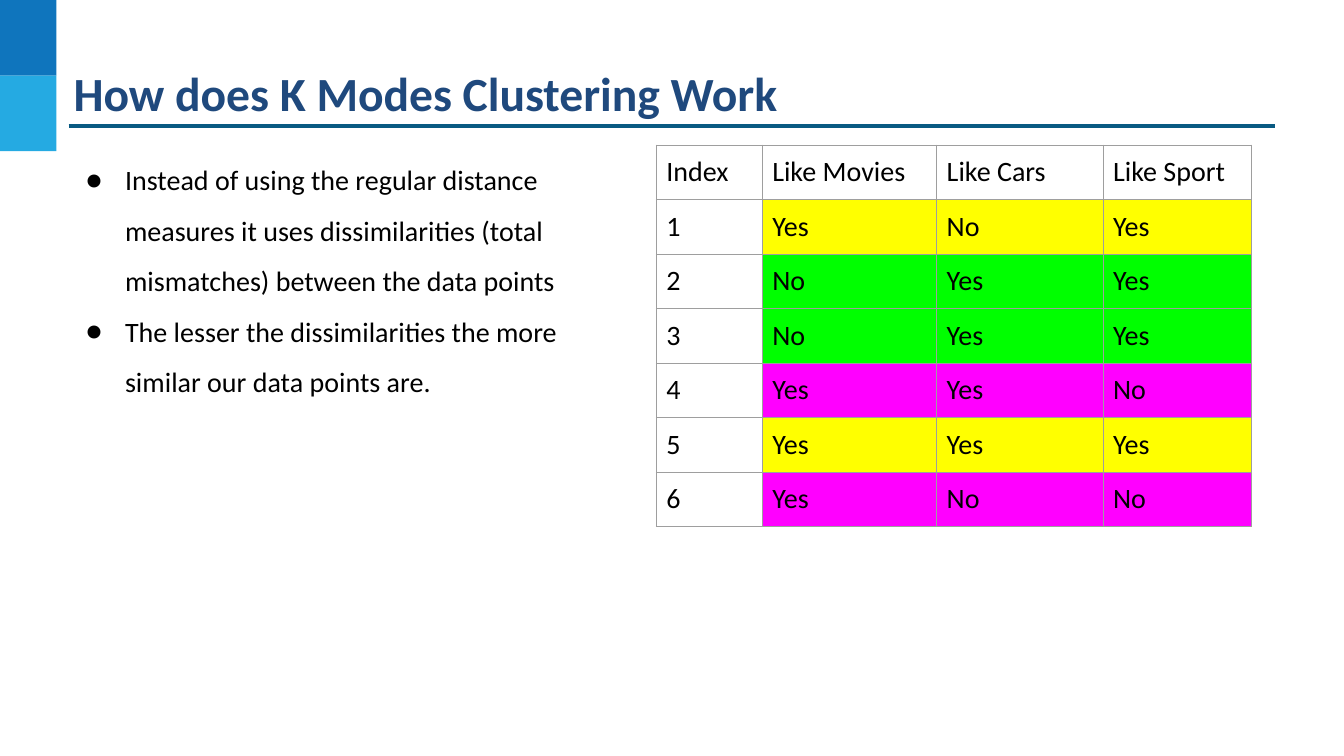
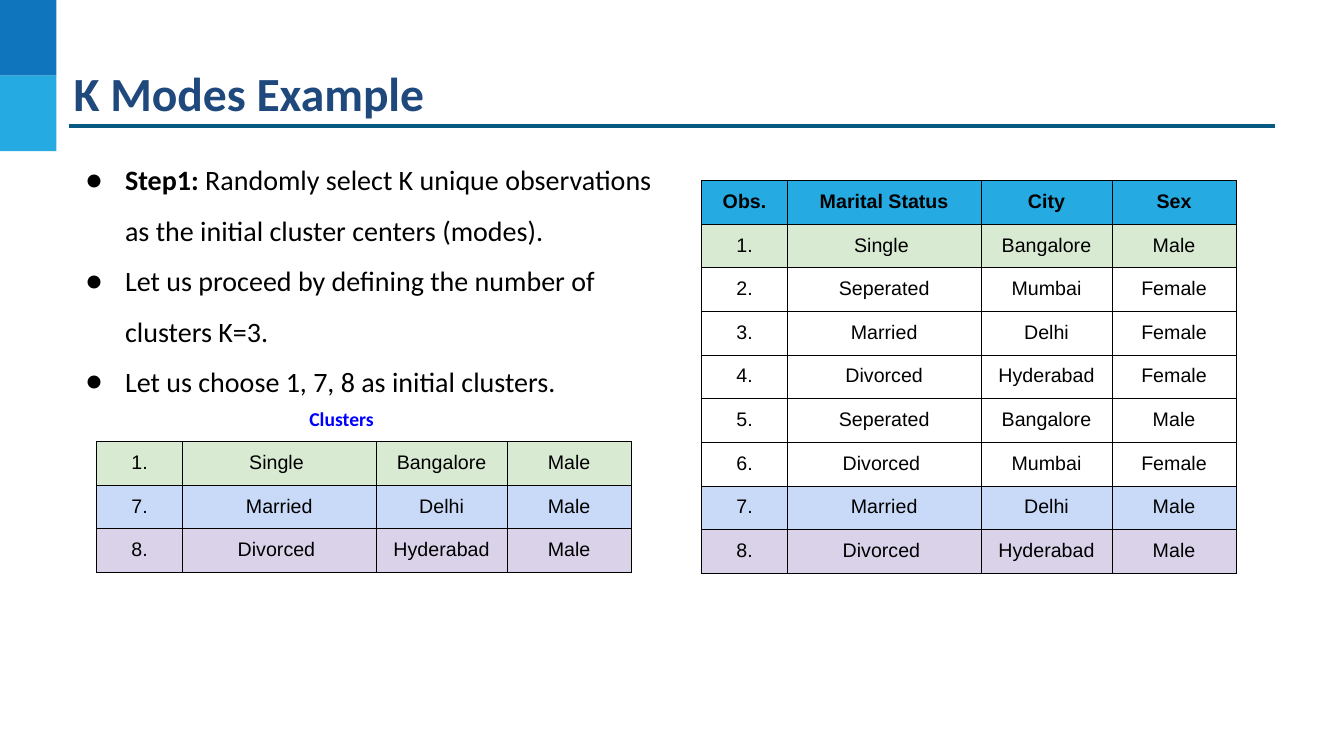
from dataclasses import dataclass

from lxml import etree
from pptx import Presentation
from pptx import util as u
from pptx.dml.color import RGBColor
from pptx.enum import shapes, text
from pptx.oxml import parse_xml
from pptx.oxml.ns import nsdecls, qn

EMU_PER_PX = 9144  # 100 px to the inch


@dataclass(frozen=True)
class Theme:
    heading_font: str = "Calibri"
    table_font: str = "Arial"
    title_size: int = 34
    body_size: int = 20
    small_size: int = 14
    title: str = "1F497D"
    ink: str = "000000"
    caption: str = "0000FF"
    band_dark: str = "0F75BD"
    band_light: str = "25AAE2"
    rule: str = "095A82"
    grid: str = "9E9E9E"
    yellow: str = "FFFF00"
    lime: str = "00FF00"
    magenta: str = "FF00FF"
    mint: str = "D9EAD3"
    sky: str = "C9DAF8"
    lilac: str = "D9D2E9"


THEME = Theme()


@dataclass(frozen=True)
class Bullet:
    body: str
    lead: str = ""


@dataclass(frozen=True)
class Row:
    cells: tuple[str, ...]
    fill: str | None = None
    bold: bool = False


@dataclass(frozen=True)
class Grid:
    left: int
    top: int
    height: int
    columns: tuple[int, ...]
    rows: tuple[Row, ...]
    font: str
    size: int
    border: str
    align: text.PP_ALIGN
    plain_first_column: bool = False


def px(length: int) -> u.Emu:
    return u.Emu(length * EMU_PER_PX)


def write(para, words: str, *, size: int, colour: str = THEME.ink,
          font: str = THEME.heading_font, bold: bool = False) -> None:
    span = para.add_run()
    span.text = words
    span.font.size = u.Pt(size)
    span.font.name = font
    span.font.bold = bold
    span.font.color.rgb = RGBColor.from_string(colour)


def place(box, left: int, top: int, width: int, height: int) -> None:
    box.left, box.top, box.width, box.height = map(px, (left, top, width, height))


def set_frame(frame, inset: int) -> None:
    """Give a text frame equal insets, wrapping and top alignment."""
    frame.margin_left = frame.margin_right = px(inset)
    frame.margin_top = frame.margin_bottom = px(inset)
    frame.word_wrap = True
    frame.auto_size = text.MSO_AUTO_SIZE.NONE
    frame.vertical_anchor = text.MSO_ANCHOR.TOP


def decorate_layout(layout, page) -> None:
    """Draw the corner bands and title rule, then move them to the layout."""
    decorations = []
    for index, colour in enumerate((THEME.band_dark, THEME.band_light)):
        band = page.shapes.add_shape(
            shapes.MSO_SHAPE.RECTANGLE, px(0), px(75 * index), px(56), px(75))
        band.shadow.inherit = False
        band.fill.solid()
        band.fill.fore_color.rgb = RGBColor.from_string(colour)
        band.line.fill.background()
        decorations.append(band)
    rule = page.shapes.add_connector(
        shapes.MSO_CONNECTOR.STRAIGHT, px(68), px(125), px(1265), px(125))
    rule.line.width = u.Pt(2.25)
    rule.line.color.rgb = RGBColor.from_string(THEME.rule)
    etree.SubElement(rule.element.spPr, qn("a:effectLst"))
    decorations.append(rule)
    for position, decoration in enumerate(decorations, start=2):
        layout.shapes.element.insert(position, decoration.element)


def add_title(page, words: str) -> None:
    title = page.shapes.title
    place(title, 71, 61, 1229, 83)
    set_frame(title.text_frame, 2)
    para = title.text_frame.paragraphs[0]
    para.alignment = text.PP_ALIGN.LEFT
    write(para, words, size=THEME.title_size, colour=THEME.title, bold=True)


def add_bullets(page, width: int, bullets: tuple[Bullet, ...]) -> None:
    body = page.placeholders[1]
    place(body, 64, 135, width, 256)
    frame = body.text_frame
    set_frame(frame, 10)
    for index, bullet in enumerate(bullets):
        para = frame.add_paragraph() if index else frame.paragraphs[0]
        para.line_spacing = 1.5
        para.space_before = para.space_after = u.Pt(0)
        if bullet.lead:
            write(para, bullet.lead, size=THEME.body_size, bold=True)
        write(para, bullet.body, size=THEME.body_size)
        properties = para._p.get_or_add_pPr()
        properties.set("marL", str(px(50)))
        properties.set("indent", str(px(-39)))
        colour = etree.SubElement(properties, qn("a:buClr"))
        etree.SubElement(colour, qn("a:srgbClr"), val=THEME.ink)
        etree.SubElement(properties, qn("a:buFont"), typeface=THEME.heading_font)
        etree.SubElement(properties, qn("a:buChar"), char="●")


def set_borders(cell, colour: str) -> None:
    properties = cell._tc.get_or_add_tcPr()
    for side in ("lnL", "lnR", "lnT", "lnB"):
        properties.append(parse_xml(
            f'<a:{side} {nsdecls("a")} w="{u.Pt(0.75)}"><a:solidFill>'
            f'<a:srgbClr val="{colour}"/></a:solidFill></a:{side}>'))


def add_grid(page, grid: Grid) -> None:
    table = page.shapes.add_table(
        len(grid.rows), len(grid.columns), px(grid.left), px(grid.top),
        px(sum(grid.columns)), px(grid.height)).table
    table.first_row = table.horz_banding = False
    for column, width in zip(table.columns, grid.columns):
        column.width = px(width)
    for line, row in zip(table.rows, grid.rows):
        for index, (cell, words) in enumerate(zip(line.cells, row.cells)):
            cell.margin_left = cell.margin_right = px(10)
            cell.margin_top = cell.margin_bottom = px(10)
            set_borders(cell, grid.border)
            if row.fill and not (grid.plain_first_column and index == 0):
                cell.fill.solid()
                cell.fill.fore_color.rgb = RGBColor.from_string(row.fill)
            else:
                cell.fill.background()
            para = cell.text_frame.paragraphs[0]
            para.alignment = grid.align
            write(para, words, size=grid.size, font=grid.font, bold=row.bold)


def observation_grid(left: int, top: int, height: int,
                     rows: tuple[Row, ...]) -> Grid:
    return Grid(left, top, height, (85, 192, 130, 123), rows, THEME.table_font,
                THEME.small_size, THEME.ink, text.PP_ALIGN.CENTER)


def add_caption(page, words: str) -> None:
    box = page.shapes.add_textbox(px(297), px(394), px(90), px(44))
    set_frame(box.text_frame, 10)
    write(box.text_frame.paragraphs[0], words, size=THEME.small_size,
          colour=THEME.caption, bold=True)


PREFERENCES = Grid(
    651, 144, 373, (105, 173, 165, 147),
    (
        Row(("Index", "Like Movies", "Like Cars", "Like Sport")),
        Row(("1", "Yes", "No", "Yes"), THEME.yellow),
        Row(("2", "No", "Yes", "Yes"), THEME.lime),
        Row(("3", "No", "Yes", "Yes"), THEME.lime),
        Row(("4", "Yes", "Yes", "No"), THEME.magenta),
        Row(("5", "Yes", "Yes", "Yes"), THEME.yellow),
        Row(("6", "Yes", "No", "No"), THEME.magenta),
    ),
    THEME.heading_font, THEME.body_size, THEME.grid, text.PP_ALIGN.LEFT,
    plain_first_column=True)

OBSERVATIONS = (
    Row(("Obs.", "Marital Status", "City", "Sex"), THEME.band_light, bold=True),
    Row(("1.", "Single ", "Bangalore", "Male"), THEME.mint),
    Row(("2.", "Seperated", "Mumbai", "Female")),
    Row(("3.", "Married", "Delhi", "Female")),
    Row(("4.", "Divorced", "Hyderabad", "Female")),
    Row(("5.", "Seperated", "Bangalore", "Male")),
    Row(("6.", "Divorced ", "Mumbai", "Female")),
    Row(("7.", "Married", "Delhi", "Male"), THEME.sky),
    Row(("8.", "Divorced ", "Hyderabad", "Male"), THEME.lilac),
)
CLUSTERS = tuple(OBSERVATIONS[number] for number in (1, 7, 8))


def build_method_page(page) -> None:
    add_title(page, "How does K Modes Clustering Work")
    add_bullets(page, 509, (
        Bullet("Instead of using the regular distance measures it uses "
               "dissimilarities (total mismatches) between the data points"),
        Bullet("The lesser the dissimilarities the more similar our data "
               "points are."),
    ))
    add_grid(page, PREFERENCES)


def build_example_page(page) -> None:
    add_title(page, "K Modes Example")
    add_bullets(page, 594, (
        Bullet("Randomly select K unique observations as the initial cluster "
               "centers (modes).", lead="Step1: "),
        Bullet("Let us proceed by defining the number of clusters K=3."),
        Bullet("Let us choose 1, 7, 8 as initial clusters."),
    ))
    add_grid(page, observation_grid(696, 179, 390, OBSERVATIONS))
    add_grid(page, observation_grid(96, 438, 130, CLUSTERS))
    add_caption(page, "Clusters")


def main() -> None:
    deck = Presentation()
    deck.slide_width, deck.slide_height = px(1333), px(750)
    layout = deck.slide_layouts.get_by_name("Title and Content")
    pages = [deck.slides.add_slide(layout) for _ in range(2)]
    decorate_layout(layout, pages[0])
    build_method_page(pages[0])
    build_example_page(pages[1])
    deck.save("out.pptx")


if __name__ == "__main__":
    main()
